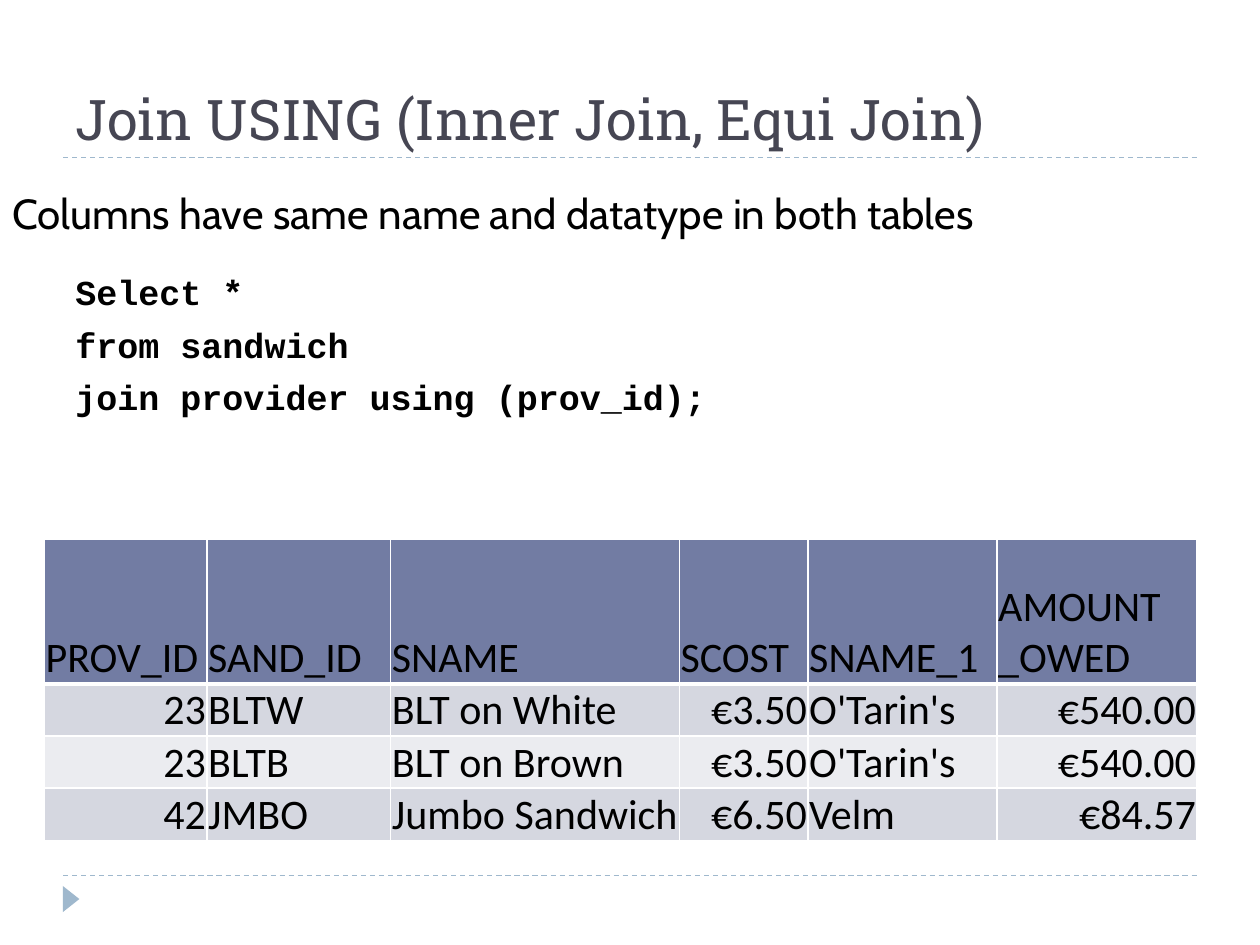
from pptx import Presentation
from pptx.util import Pt
from pptx.dml.color import RGBColor
from pptx.enum.dml import MSO_LINE
from pptx.enum.shapes import MSO_CONNECTOR, MSO_SHAPE
from pptx.enum.text import MSO_ANCHOR, PP_ALIGN
from lxml.etree import SubElement
from pptx.oxml.ns import qn


def rgb(value):
    return RGBColor.from_string(value)


def write(p, text, font, size, color="000000", bold=False, align=PP_ALIGN.LEFT, before=0):
    p.text = text
    p.alignment = align
    p.space_before = Pt(before)
    for r in p.runs:
        r.font.name = font
        r.font.size = Pt(size)
        r.font.bold = bold
        r.font.color.rgb = rgb(color)


prs = Presentation()
prs.slide_width, prs.slide_height = Pt(720), Pt(540)
s = prs.slides.add_slide(prs.slide_layouts[6])

for y in (500.4, 90):
    line = s.shapes.add_connector(MSO_CONNECTOR.STRAIGHT, Pt(36), Pt(y), Pt(684), Pt(y))
    line.line.color.rgb = rgb("9FB8CD")
    line.line.width = Pt(0.75)
    line.line.dash_style = MSO_LINE.DASH
    SubElement(line._element.spPr, qn("a:effectLst"))

marker = s.shapes.add_shape(MSO_SHAPE.ISOSCELES_TRIANGLE, Pt(33.1), Pt(509), Pt(15), Pt(9.5))
marker.rotation = 90
marker.shadow.inherit = False
marker.fill.solid()
marker.fill.fore_color.rgb = rgb("9FB8CD")
marker.line.fill.background()

code = ["Select *", "from sandwich", "join provider using (prov_id);"]
texts = [
    ((36, 18, 648, 72), MSO_ANCHOR.BOTTOM, ["Join USING (Inner Join, Equi Join)"],
     dict(font="Roboto Slab", size=32, color="464653")),
    ((36, 151.2, 653, 45.4), MSO_ANCHOR.TOP, code,
     dict(font="Courier New", size=20, bold=True, before=6)),
    ((0, 103.7, 711.4, 36), MSO_ANCHOR.TOP, ["Columns have same name and datatype in both tables"],
     dict(font="Cabin", size=24)),
]
for box, anchor, lines, style in texts:
    tf = s.shapes.add_textbox(*map(Pt, box)).text_frame
    tf.word_wrap = True
    tf.vertical_anchor = anchor
    for i, text in enumerate(lines):
        p = tf.add_paragraph() if i else tf.paragraphs[0]
        write(p, text, **style)

rows = [
    ["PROV_ID", "SAND_ID", "SNAME", "SCOST", "SNAME_1", "AMOUNT\v_OWED"],
    ["23", "BLTW", "BLT on White", "€3.50", "O'Tarin's", "€540.00"],
    ["23", "BLTB", "BLT on Brown", "€3.50", "O'Tarin's", "€540.00"],
    ["42", "JMBO", "Jumbo Sandwich", "€6.50", "Velm", "€84.57"],
]
widths = [92.9, 105, 165, 73.5, 108, 114.4]
heights = [82.5, 29.8, 29.8, 29.8]
fills = ["727CA3", "D5D7E0", "EBECF0", "D5D7E0"]
numeric = {0, 3, 5}

table = s.shapes.add_table(len(rows), len(widths), Pt(25.4), Pt(308.3),
                           Pt(sum(widths)), Pt(sum(heights))).table
for column, width in zip(table.columns, widths):
    column.width = Pt(width)
for i, (row, height, fill) in enumerate(zip(rows, heights, fills)):
    table.rows[i].height = Pt(height)
    for j, text in enumerate(row):
        cell = table.cell(i, j)
        cell.margin_left = cell.margin_right = cell.margin_top = Pt(0.7)
        cell.margin_bottom = 0
        cell.vertical_anchor = MSO_ANCHOR.BOTTOM
        align = PP_ALIGN.RIGHT if i and j in numeric else PP_ALIGN.LEFT
        write(cell.text_frame.paragraphs[0], text, "Calibri", 24, align=align)
        tcPr = cell._tc.get_or_add_tcPr()
        for side in ("lnL", "lnR", "lnT", "lnB"):
            thick = (i, side) in ((0, "lnB"), (1, "lnT"))
            ln = SubElement(tcPr, qn(f"a:{side}"), w=str(Pt(3 if thick else 1)))
            SubElement(SubElement(ln, qn("a:solidFill")), qn("a:srgbClr"), val="FFFFFF")
        cell.fill.solid()
        cell.fill.fore_color.rgb = rgb(fill)

prs.save("out.pptx")
